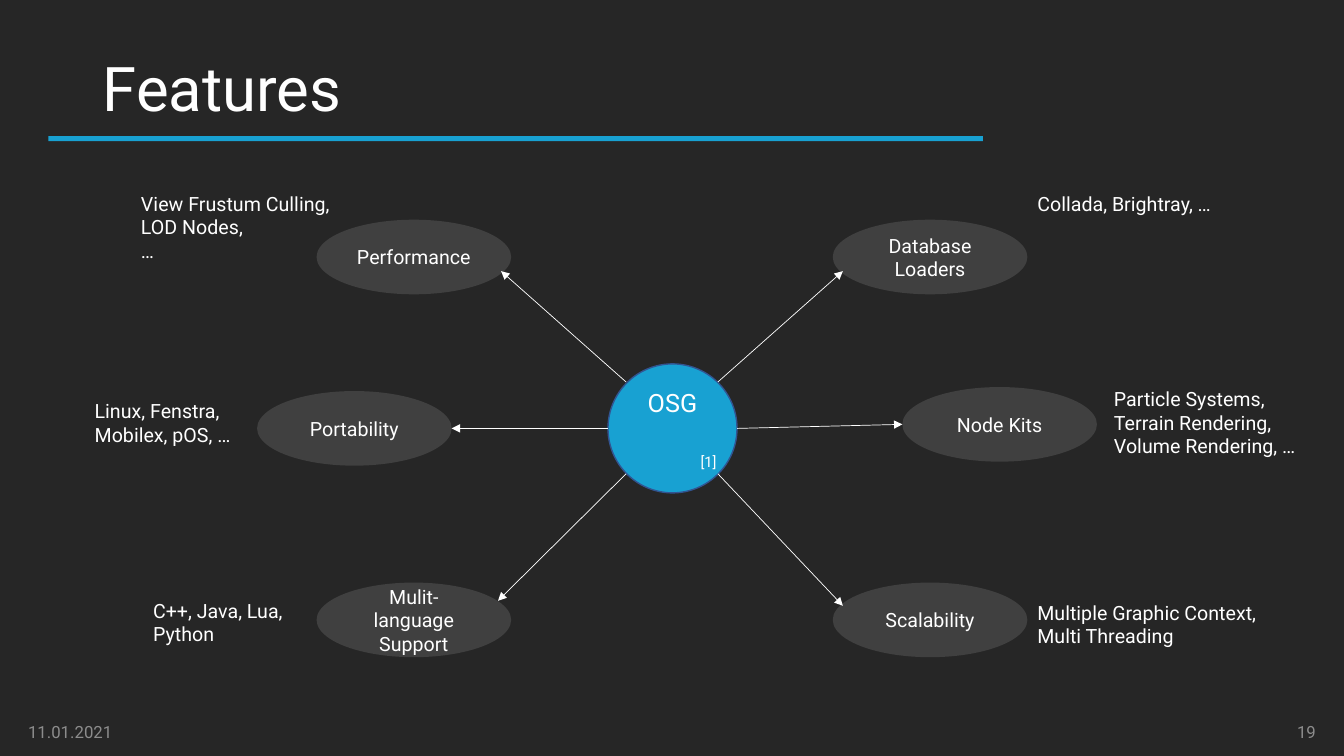
from lxml.etree import SubElement
from pptx import Presentation
from pptx.dml.color import RGBColor
from pptx.enum.shapes import MSO_CONNECTOR, MSO_SHAPE
from pptx.enum.text import MSO_ANCHOR, PP_ALIGN
from pptx.oxml.ns import qn
from pptx.util import Emu, Pt

PX = 9144  # EMU per px, 100 px to the inch
FONT = "Roboto"
BACKGROUND = RGBColor(0x26, 0x26, 0x26)
ACCENT = RGBColor(0x18, 0xA1, 0xD2)
HUB_OUTLINE = RGBColor(0x32, 0x54, 0x91)
NODE_FILL = RGBColor(0x40, 0x40, 0x40)
WHITE = RGBColor(0xFF, 0xFF, 0xFF)
FOOTER_GREY = RGBColor(0x8C, 0x8C, 0x8C)

NODE_SIZE = (193, 74)
# feature, node left and top, arrow start, arrow end
FEATURES = [
    ("Performance", (314, 218), (621, 379), (497, 269)),
    ("Database Loaders", (826, 218), (712, 379), (836, 269)),
    ("Node Kits", (895, 384), (731, 425), (895, 421)),
    ("Scalability", (826, 578), (712, 470), (836, 601)),
    ("Mulit-language Support", (314, 578), (621, 470), (494, 596)),
    ("Portability", (255, 388), (603, 425), (448, 425)),
]
# lines, left, top, width, height
EXAMPLES = [
    (["View Frustum Culling,", "LOD Nodes,", "…"], (130, 185, 211, 81)),
    (["Collada, Brightray, …"], (1019, 185, 211, 34)),
    (["Particle Systems,", "Terrain Rendering,", "Volume Rendering, …"],
     (1095, 379, 211, 81)),
    (["Linux, Fenstra, Mobilex, pOS, …"], (84, 391, 211, 57)),
    (["C++, Java, Lua, Python"], (142, 589, 187, 57)),
    (["Multiple Graphic Context,", "Multi Threading"], (1019, 591, 253, 57)),
]


def px(*lengths):
    return [Emu(length * PX) for length in lengths]


def write(shape, lines, size, color=WHITE, align=PP_ALIGN.LEFT,
          anchor=MSO_ANCHOR.TOP, line_spacing=None):
    frame = shape.text_frame
    frame.word_wrap = True
    frame.vertical_anchor = anchor
    frame.text = "\n".join(lines)
    for paragraph in frame.paragraphs:
        paragraph.alignment = align
        paragraph.line_spacing = line_spacing
        paragraph.font.name = FONT
        paragraph.font.size = Pt(size)
        paragraph.font.color.rgb = color


def add_text(slide, lines, box, size, **style):
    write(slide.shapes.add_textbox(*px(*box)), lines, size, **style)


def add_filled(slide, preset, box, fill, outline=None):
    shape = slide.shapes.add_shape(preset, *px(*box))
    shape.shadow.inherit = False
    shape.fill.solid()
    shape.fill.fore_color.rgb = fill
    if outline is None:
        shape.line.fill.background()
    else:
        shape.line.color.rgb = outline
        shape.line.width = Pt(1)
    return shape


def add_arrow(slide, start, end):
    arrow = slide.shapes.add_connector(MSO_CONNECTOR.STRAIGHT, *px(*start, *end))
    arrow.line.color.rgb = WHITE
    arrow.line.width = Pt(0.5)
    SubElement(arrow.line._get_or_add_ln(), qn("a:tailEnd"), type="triangle")
    SubElement(arrow._element.spPr, qn("a:effectLst"))


def main():
    prs = Presentation()
    prs.slide_width, prs.slide_height = px(1333, 750)
    slide = prs.slides.add_slide(prs.slide_layouts[6])
    slide.background.fill.solid()
    slide.background.fill.fore_color.rgb = BACKGROUND

    add_filled(slide, MSO_SHAPE.RECTANGLE, (48, 135, 927, 5), ACCENT)
    add_text(slide, ["Features"], (92, 18, 1150, 145), 44,
             anchor=MSO_ANCHOR.MIDDLE, line_spacing=0.9)
    for words, left, align in (("11.01.2021", 18, PP_ALIGN.LEFT),
                               ("19", 1015, PP_ALIGN.RIGHT)):
        add_text(slide, [words], (left, 706, 300, 40), 12, color=FOOTER_GREY,
                 align=align, anchor=MSO_ANCHOR.MIDDLE)

    hub = add_filled(slide, MSO_SHAPE.OVAL, (603, 361, 128, 128), ACCENT, HUB_OUTLINE)
    write(hub, ["OSG"], 18, align=PP_ALIGN.CENTER)
    for feature, corner, start, end in FEATURES:
        node = add_filled(slide, MSO_SHAPE.OVAL, (*corner, *NODE_SIZE), NODE_FILL)
        write(node, [feature], 14, align=PP_ALIGN.CENTER, anchor=MSO_ANCHOR.MIDDLE)
        add_arrow(slide, start, end)

    for lines, box in EXAMPLES:
        add_text(slide, lines, box, 14)
    add_text(slide, ["[1]"], (685, 444, 69, 29), 10.5)

    prs.save("out.pptx")


if __name__ == "__main__":
    main()
